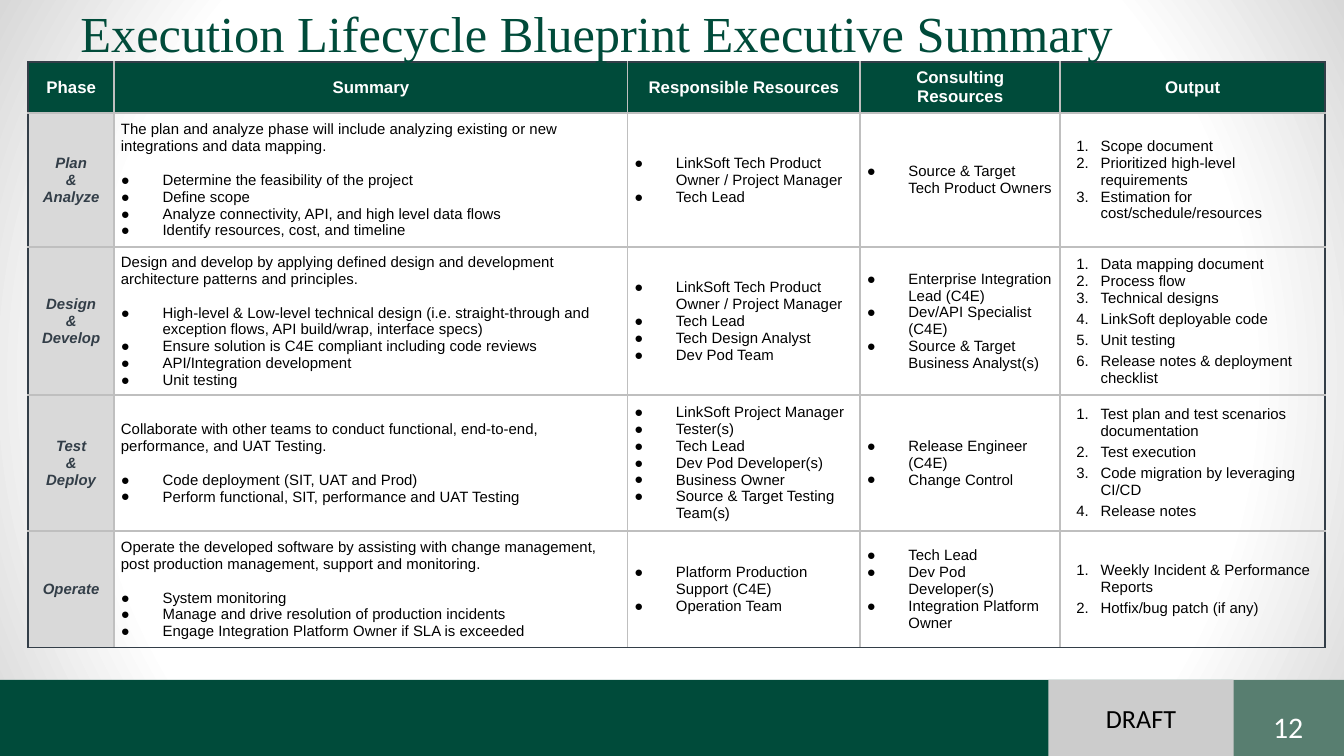
from lxml.etree import SubElement
from pptx import Presentation
from pptx.dml.color import RGBColor
from pptx.enum.shapes import MSO_SHAPE
from pptx.enum.text import MSO_ANCHOR, PP_ALIGN
from pptx.oxml import parse_xml
from pptx.oxml.ns import nsdecls, qn
from pptx.util import Inches, Pt

GREEN = RGBColor(0x00, 0x4B, 0x3A)
SAGE = RGBColor(0x58, 0x7E, 0x70)
SLATE = RGBColor(0x33, 0x3E, 0x48)
RULE = RGBColor(0xBF, 0xBF, 0xBF)
PHASE_FILL = RGBColor(0xD9, 0xD9, 0xD9)
DRAFT_FILL = RGBColor(0xCC, 0xCC, 0xCC)
EDGE = RGBColor(0xD8, 0xD8, 0xD8)
WHITE = RGBColor(0xFF, 0xFF, 0xFF)
BLACK = RGBColor(0x00, 0x00, 0x00)

HEAD = {"name": "Arial", "size": Pt(9), "bold": True}
PHASE = {"name": "Arial", "size": Pt(8), "bold": True, "italic": True}
BODY = {"name": "Arial", "size": Pt(8), "bold": False}
TITLE = {"name": "Times New Roman", "size": Pt(27)}
DRAFT = {"name": "Calibri", "size": Pt(14)}
NUMBER = {"name": "Calibri", "size": Pt(16)}

COL_WIDTHS = [0.64, 3.82, 1.73, 1.49, 1.97]
ROW_HEIGHTS = [0.38, 1, 1.1, 1.01, 0.87]
HEADERS = ["Phase", "Summary", "Responsible Resources", "Consulting Resources", "Output"]

PHASES = [
    (["Plan", "& Analyze"],
     "The plan and analyze phase will include analyzing existing or new integrations and data mapping.",
     ["Determine the feasibility of the project", "Define scope",
      "Analyze connectivity, API, and high level data flows",
      "Identify resources, cost, and timeline"],
     ["LinkSoft Tech Product Owner / Project Manager", "Tech Lead"],
     ["Source & Target  Tech Product Owners"],
     ["Scope document", "Prioritized high-level requirements",
      "Estimation for cost/schedule/resources"], 3),
    (["Design & Develop"],
     "Design and develop by applying defined design and development architecture patterns and principles.",
     ["High-level & Low-level technical design (i.e. straight-through and exception flows, "
      "API build/wrap, interface specs)",
      "Ensure solution is C4E compliant including code reviews",
      "API/Integration development", "Unit testing"],
     ["LinkSoft Tech Product Owner / Project Manager", "Tech Lead",
      "Tech Design Analyst", "Dev Pod Team"],
     ["Enterprise Integration Lead (C4E)", "Dev/API Specialist (C4E)",
      "Source & Target Business Analyst(s)"],
     ["Data mapping document", "Process flow", "Technical designs",
      "LinkSoft deployable code", "Unit testing",
      "Release notes & deployment checklist"], 3),
    (["Test", "& Deploy"],
     "Collaborate with other teams to conduct functional, end-to-end, performance, and UAT Testing.",
     ["Code deployment (SIT, UAT and Prod)",
      "Perform functional, SIT, performance and UAT Testing"],
     ["LinkSoft Project Manager", "Tester(s)", "Tech Lead", "Dev Pod Developer(s)",
      "Business Owner", "Source & Target Testing Team(s)"],
     ["Release Engineer (C4E)", "Change Control"],
     ["Test plan and test scenarios documentation", "Test execution",
      "Code migration by leveraging CI/CD", "Release notes"], 1),
    (["Operate"],
     "Operate the developed software by assisting with change management, "
     "post production management, support and monitoring.",
     ["System monitoring", "Manage and drive resolution of production incidents",
      "Engage Integration Platform Owner if SLA is exceeded"],
     ["Platform Production Support (C4E)", "Operation Team"],
     ["Tech Lead", "Dev Pod Developer(s)", "Integration Platform Owner"],
     ["Weekly Incident & Performance Reports", "Hotfix/bug patch (if any)"], 0),
]


def set_background(s):
    stops = "".join(f'<a:gs pos="{pos}"><a:srgbClr val="{color}"/></a:gs>'
                    for pos, color in [(0, WHITE), (75000, WHITE), (100000, EDGE)])
    bg = parse_xml(
        f'<p:bg {nsdecls("p", "a")}><p:bgPr><a:gradFill rotWithShape="1"><a:gsLst>{stops}</a:gsLst>'
        '<a:path path="circle"><a:fillToRect l="50000" t="50000" r="50000" b="50000"/></a:path>'
        '</a:gradFill><a:effectLst/></p:bgPr></p:bg>')
    s.element.cSld.insert(0, bg)


def add_paragraph(tf, text, style, color, align=PP_ALIGN.LEFT):
    p = tf.paragraphs[0]
    if p.runs:
        p = tf.add_paragraph()
    p.alignment = align
    r = p.add_run()
    r.text = text
    for name, value in style.items():
        setattr(r.font, name, value)
    r.font.color.rgb = color
    return p


def add_block(s, left, width, color):
    sp = s.shapes.add_shape(MSO_SHAPE.RECTANGLE, *map(Inches, (left, 5.06, width, 0.57)))
    sp.shadow.inherit = False
    sp.fill.solid()
    sp.fill.fore_color.rgb = color
    sp.line.fill.background()
    sp.text_frame.vertical_anchor = MSO_ANCHOR.MIDDLE
    return sp


def add_label(s, left, top, width, height, text, style, color, align, anchor):
    tf = s.shapes.add_textbox(*map(Inches, (left, top, width, height))).text_frame
    tf.word_wrap = True
    tf.vertical_anchor = anchor
    add_paragraph(tf, text, style, color, align)


def add_list(tf, items, numbered=False, spaced_from=None):
    indent, hanging = (0.25, 0.18) if numbered else (0.31, 0.31)
    for i, text in enumerate(items):
        p = add_paragraph(tf, text, BODY, BLACK)
        if numbered and i >= spaced_from:
            p.space_before = Pt(2.2)
        pPr = p._p.get_or_add_pPr()
        pPr.set("marL", str(Inches(indent)))
        pPr.set("indent", str(-Inches(hanging)))
        SubElement(pPr, qn("a:buFont"), typeface="Arial")
        if numbered:
            SubElement(pPr, qn("a:buAutoNum"), type="arabicPeriod")
        else:
            SubElement(pPr, qn("a:buChar"), char="●")


def format_cell(cell, row, col, fill=None, margin=0.05):
    outer = {"L": col == 0, "R": col == len(COL_WIDTHS) - 1,
             "T": row == 0, "B": row == len(ROW_HEIGHTS) - 1}
    tcPr = cell._tc.get_or_add_tcPr()
    for side, is_outer in outer.items():
        ln = SubElement(tcPr, qn(f"a:ln{side}"), w=str(Pt(1)))
        solid = SubElement(ln, qn("a:solidFill"))
        SubElement(solid, qn("a:srgbClr"), val=str(SLATE if is_outer else RULE))
    if fill is None:
        cell.fill.background()
    else:
        cell.fill.solid()
        cell.fill.fore_color.rgb = fill
    layout = {"vertical_anchor": MSO_ANCHOR.MIDDLE,
              "margin_left": Inches(margin), "margin_right": Inches(margin),
              "margin_top": Inches(0.02), "margin_bottom": Inches(0.02)}
    for name, value in layout.items():
        setattr(cell, name, value)
    return cell.text_frame


def fill_phase(table, row, phase):
    names, intro, tasks, responsible, consulting, outputs, spaced_from = phase
    tf = format_cell(table.cell(row, 0), row, 0, PHASE_FILL, 0.1)
    for name in names:
        add_paragraph(tf, name, PHASE, SLATE, PP_ALIGN.CENTER)
    summary, owners, advisers, results = [
        format_cell(table.cell(row, col), row, col) for col in range(1, 5)]
    add_paragraph(summary, intro, BODY, BLACK).space_after = Pt(9.2)
    add_list(summary, tasks)
    add_list(owners, responsible)
    add_list(advisers, consulting)
    add_list(results, outputs, True, spaced_from)


def add_phase_table(s):
    size = map(Inches, (0.21, 0.46, sum(COL_WIDTHS), sum(ROW_HEIGHTS)))
    table = s.shapes.add_table(len(ROW_HEIGHTS), len(COL_WIDTHS), *size).table
    table.first_row = table.horz_banding = False
    for column, width in zip(table.columns, COL_WIDTHS):
        column.width = Inches(width)
    for row, height in zip(table.rows, ROW_HEIGHTS):
        row.height = Inches(height)
    for col, text in enumerate(HEADERS):
        tf = format_cell(table.cell(0, col), 0, col, GREEN, 0.1)
        add_paragraph(tf, text, HEAD, WHITE, PP_ALIGN.CENTER)
    for row, phase in enumerate(PHASES, 1):
        fill_phase(table, row, phase)


def main():
    prs = Presentation()
    prs.slide_width, prs.slide_height = Inches(10), Inches(10 * 9 / 16)
    s = prs.slides.add_slide(prs.slide_layouts[6])
    set_background(s)
    add_block(s, 9.17, 0.83, SAGE)
    add_block(s, 0, 9.17, GREEN)
    add_label(s, 9.25, 5.22, 0.67, 0.28, "12", NUMBER, WHITE, PP_ALIGN.CENTER, MSO_ANCHOR.TOP)
    add_phase_table(s)
    add_label(s, 0.5, 0.06, 8.2, 0.36, "Execution Lifecycle Blueprint Executive Summary",
              TITLE, GREEN, PP_ALIGN.LEFT, MSO_ANCHOR.MIDDLE)
    draft = add_block(s, 7.8, 1.38, DRAFT_FILL)
    add_paragraph(draft.text_frame, "DRAFT", DRAFT, BLACK, PP_ALIGN.CENTER)
    prs.save("out.pptx")


if __name__ == "__main__":
    main()
